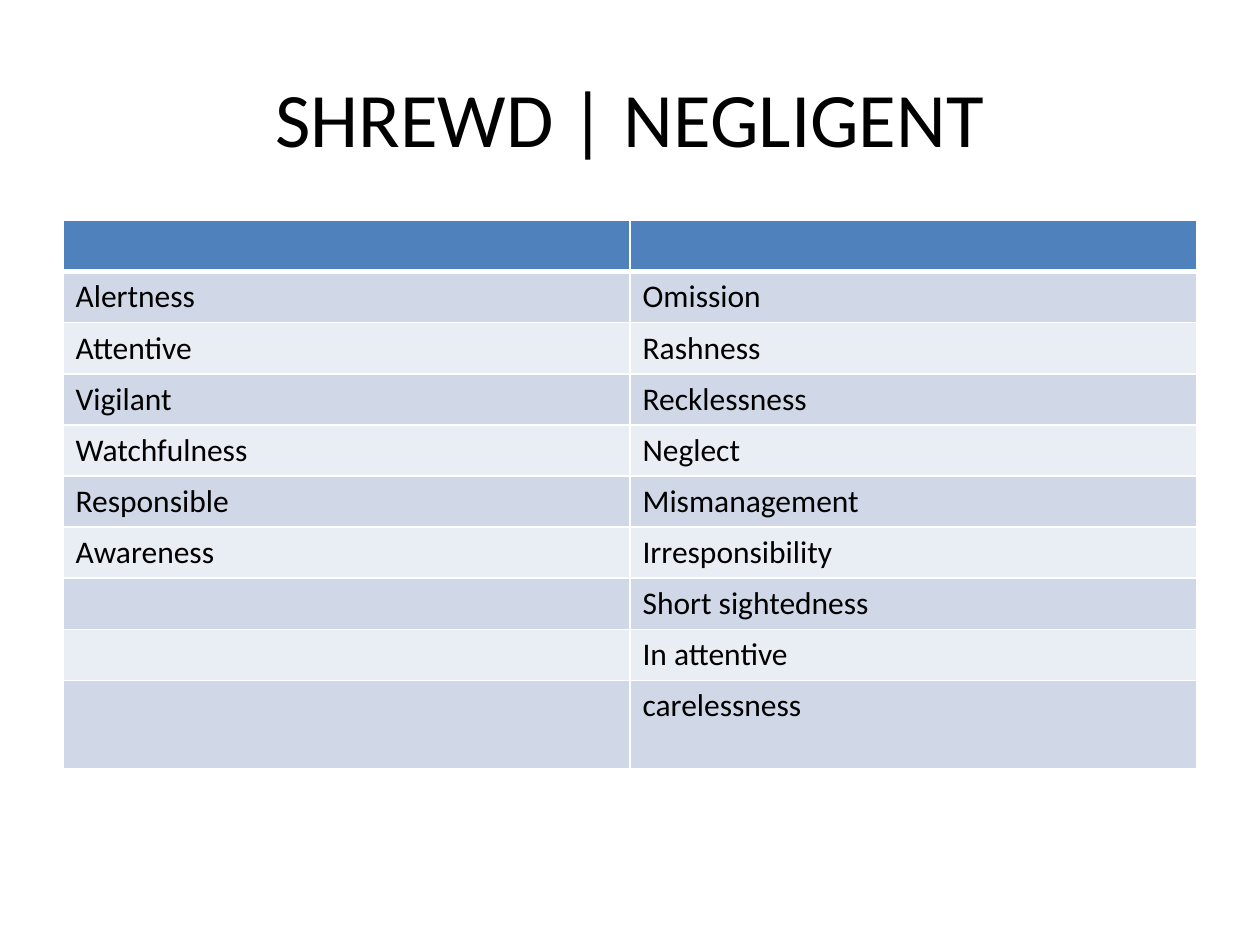
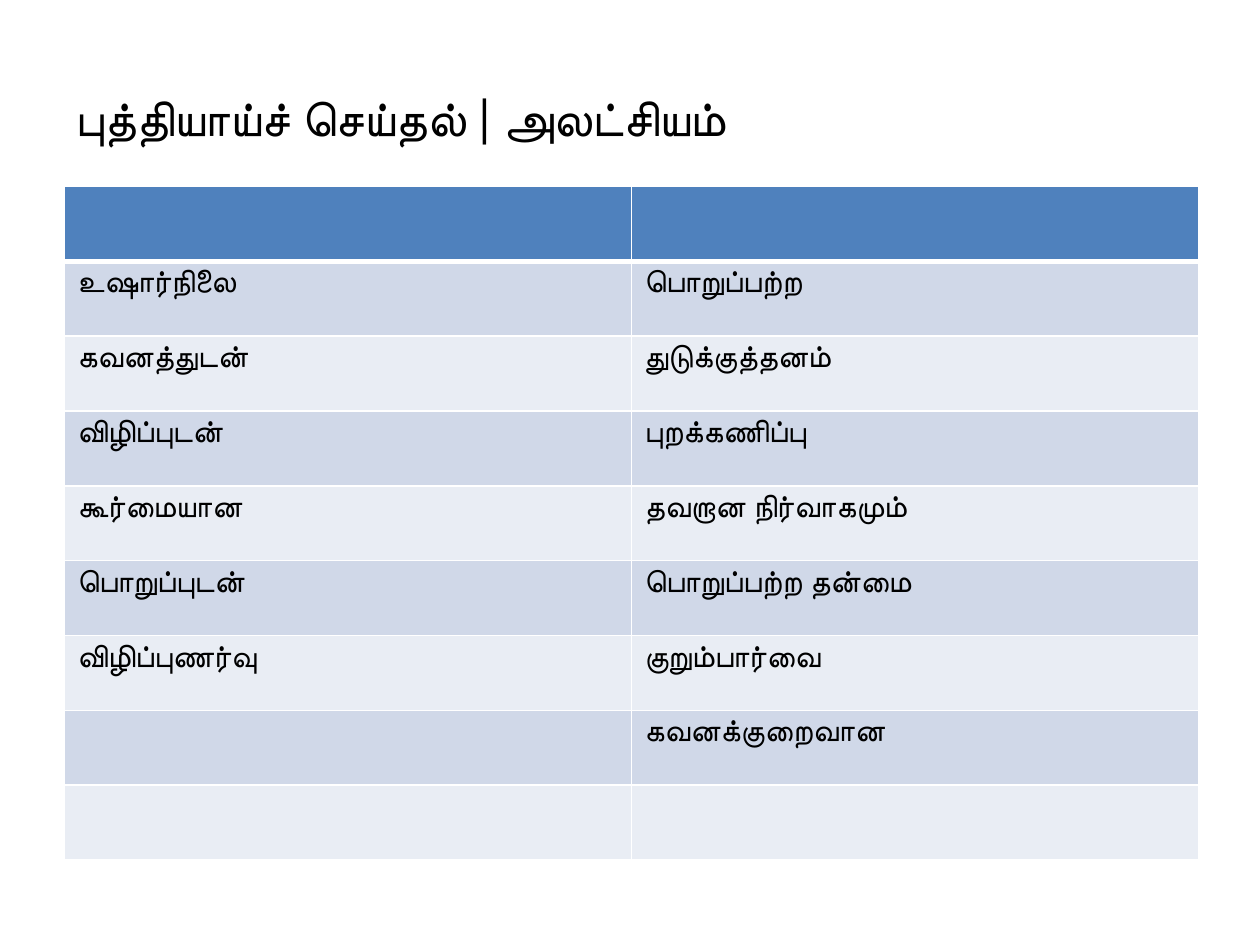
from itertools import zip_longest

from lxml.etree import SubElement
from pptx import Presentation
from pptx.dml.color import RGBColor as RGB
from pptx.enum.text import MSO_ANCHOR as ANCHOR, PP_ALIGN as ALIGN
from pptx.oxml.ns import qn
from pptx.util import Pt

COLORS = {
    "text": "000000",
    "header": "4F81BD",
    "odd": "D0D8E8",
    "even": "E9EDF4",
    "border": "FFFFFF",
}
FONT = "Calibri"

SHREWD = ["Alertness", "Attentive", "Vigilant", "Watchfulness", "Responsible",
          "Awareness"]
NEGLIGENT = ["Omission", "Rashness", "Recklessness", "Neglect", "Mismanagement",
             "Irresponsibility", "Short sightedness", "In attentive", "carelessness"]
SHREWD_TAMIL = ["உஷார்நிலை", "கவனத்துடன்", "விழிப்புடன்", "கூர்மையான",
                "பொறுப்புடன்", "விழிப்புணர்வு"]
NEGLIGENT_TAMIL = ["பொறுப்பற்ற", "துடுக்குத்தனம்", "புறக்கணிப்பு",
                   "தவறான நிர்வாகமும்", "பொறுப்பற்ற தன்மை", "குறும்பார்வை",
                   "கவனக்குறைவான", ""]


class Deck:
    """Builds title-and-table slides in one shared style."""

    def __init__(self):
        self.prs = Presentation()
        self.prs.slide_width, self.prs.slide_height = Pt(720), Pt(540)
        self.slide = None

    def new_slide(self):
        self.slide = self.prs.slides.add_slide(self.prs.slide_layouts[5])

    def run(self, p, text, size, font=FONT):
        r = p.add_run()
        r.text = text
        r.font.size, r.font.name, r.font.bold = Pt(size), font, False
        r.font.color.rgb = RGB.from_string(COLORS["text"])

    def title(self, runs, size, align):
        sp = self.slide.shapes.title
        sp.left, sp.top, sp.width, sp.height = Pt(36), Pt(21.6), Pt(648), Pt(90)
        tf = sp.text_frame
        tf.vertical_anchor = ANCHOR.MIDDLE
        p = tf.paragraphs[0]
        p.alignment = align
        for text, font in runs:
            self.run(p, text, size, font)

    def border(self, cell, side, width):
        ln = SubElement(cell._tc.get_or_add_tcPr(), qn(f"a:ln{side}"), w=str(Pt(width)))
        fill = SubElement(ln, qn("a:solidFill"))
        SubElement(fill, qn("a:srgbClr"), val=COLORS["border"])

    def cell(self, cell, text, row):
        widths = {"L": 1, "R": 1, "T": 3 if row == 1 else 1, "B": 3 if row == 0 else 1}
        for side, width in widths.items():
            self.border(cell, side, width)
        band = "header" if row == 0 else "odd" if row % 2 else "even"
        cell.fill.solid()
        cell.fill.fore_color.rgb = RGB.from_string(COLORS[band])
        if text:
            self.run(cell.text_frame.paragraphs[0], text, 18)

    def table(self, left, top, columns, row_height, last_height):
        rows = [("", ""), *zip_longest(*columns, fillvalue="")]
        height = row_height * (len(rows) - 1) + last_height
        table = self.slide.shapes.add_table(
            len(rows), 2, Pt(left), Pt(top), Pt(648), Pt(height)).table
        for i, texts in enumerate(rows):
            table.rows[i].height = Pt(row_height)
            for j, text in enumerate(texts):
                self.cell(table.cell(i, j), text, i)
        table.rows[len(rows) - 1].height = Pt(last_height)


def main():
    deck = Deck()

    deck.new_slide()
    deck.title([("SHREWD | NEGLIGENT", FONT)], 44, ALIGN.CENTER)
    deck.table(36, 126, (SHREWD, NEGLIGENT), 29.2, 50.4)

    deck.new_slide()
    deck.title([("புத்தியாய்ச் செய்தல் | ", "Lato"), ("அலட்சியம்", FONT)], 28, ALIGN.LEFT)
    deck.table(37, 106.5, (SHREWD_TAMIL, NEGLIGENT_TAMIL), 42.8, 42.8)

    deck.prs.save("out.pptx")


if __name__ == "__main__":
    main()
